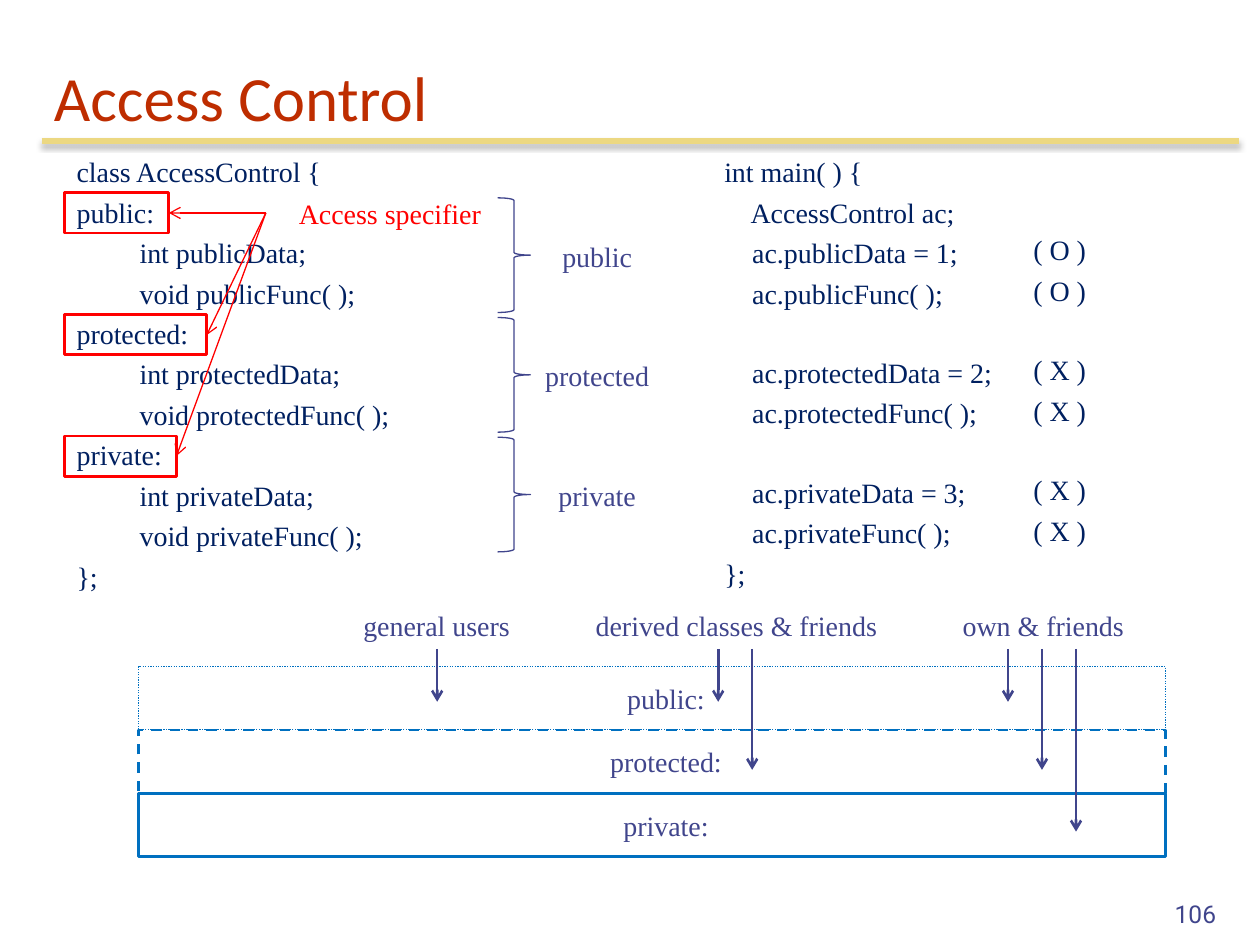
from lxml import etree
from pptx import Presentation
from pptx.dml.color import RGBColor
from pptx.enum.dml import MSO_LINE
from pptx.enum.shapes import MSO_CONNECTOR, MSO_SHAPE
from pptx.enum.text import MSO_ANCHOR, PP_ALIGN
from pptx.oxml import parse_xml
from pptx.oxml.ns import nsdecls, qn
from pptx.util import Inches, Pt

RECT, BRACE = MSO_SHAPE.RECTANGLE, MSO_SHAPE.RIGHT_BRACE
DOT, DASH = MSO_LINE.ROUND_DOT, MSO_LINE.DASH
LEFT, MID, RIGHT = PP_ALIGN.LEFT, PP_ALIGN.CENTER, PP_ALIGN.RIGHT
TOP, CENTER, BOTTOM = MSO_ANCHOR.TOP, MSO_ANCHOR.MIDDLE, MSO_ANCHOR.BOTTOM

THEME = {
    "head": "BE2D00", "rule": "ECD882", "code": "002060",
    "note": "40458C", "mark": "FF0000", "edge": "0070C0",
    "font": "Times New Roman", "title": "Calibri", "num": "Roboto",
    "body": 16, "big": 36, "small": 14,
}
GAP = 3.9       # points between code lines
PITCH = 22.3    # points from one code line to the next

deck = Presentation()
deck.slide_width, deck.slide_height = Inches(10), Inches(7.5)
slide = deck.slides.add_slide(deck.slide_layouts[6])
COL, ROW = deck.slide_width / 100, deck.slide_height / 75


def write(text, box, form=None, line=None, width=0.75, dash=None,
          font="font", size="body", color="note", align=LEFT,
          anchor=TOP, wrap=True, inset=1):
    """Add a text box or outlined shape; an empty line widens the gap."""
    x, y, w, h = box
    place = [int(v) for v in (x * COL, y * ROW, w * COL, h * ROW)]
    if form is None:
        item = slide.shapes.add_textbox(*place)
    else:
        item = slide.shapes.add_shape(form, *place)
        item.shadow.inherit = False
        item.fill.background()
        item.line.color.rgb = RGBColor.from_string(THEME[line])
        item.line.width = Pt(width)
        if dash:
            item.line.dash_style = dash
    if not text:
        return item
    frame = item.text_frame
    frame.word_wrap = wrap
    frame.vertical_anchor = anchor
    frame.margin_left = int(inset * COL)
    para, gap = frame.paragraphs[0], 0
    for i, part in enumerate(text.split("\n")):
        if not part:
            gap += PITCH
            continue
        if i:
            para = frame.add_paragraph()
            para.space_before = Pt(GAP + gap)
        gap = 0
        para.alignment = align
        run = para.add_run()
        run.text = part
        run.font.name = THEME[font]
        run.font.size = Pt(THEME[size])
        run.font.color.rgb = RGBColor.from_string(THEME[color])
    return item


def link(x1, y1, x2, y2, color, width, arrow=True):
    ends = [int(v) for v in (x1 * COL, y1 * ROW, x2 * COL, y2 * ROW)]
    item = slide.shapes.add_connector(MSO_CONNECTOR.STRAIGHT, *ends)
    item.line.color.rgb = RGBColor.from_string(THEME[color])
    item.line.width = Pt(width)
    if arrow:
        etree.SubElement(item.line._get_or_add_ln(), qn("a:tailEnd"), type="arrow")
    etree.SubElement(item._element.spPr, qn("a:effectLst"))
    return item


# Title and its rule
rule = link(3.3, 11.2, 98.3, 11.2, "rule", 3, arrow=False)
rule._element.spPr.find(qn("a:effectLst")).append(parse_xml(
    f'<a:outerShdw {nsdecls("a")} blurRad="{Pt(3.1)}" dist="{Pt(1.8)}" '
    'dir="5400000" rotWithShape="0"><a:srgbClr val="000000">'
    '<a:alpha val="35000"/></a:srgbClr></a:outerShdw>'))
write("Access Control", (3.3, 3.3, 95, 7.8), font="title", size="big",
      color="head", anchor=BOTTOM)

# Class on the left
write("""class AccessControl {
public:
\tint publicData;
\tvoid publicFunc( );
protected:
\tint protectedData;
\tvoid protectedFunc( );
private:
\tint privateData;
\tvoid privateFunc( );
};""", (5.1, 11.8, 33.3, 36), color="code", wrap=False)

# Specifier frames, arrows and braces
write("Access specifier", (21.1, 15.1, 19.7, 3.7), color="mark", align=MID)
for i, (name, wide, tip) in enumerate([
        ("public", 8.3, 16.9), ("protected", 11.3, 26.6), ("private", 8.9, 36.2)]):
    write("", (5.1, 15.3 + 9.65 * i, wide, 3.2), form=RECT, line="mark", width=1.5)
    link(21.1, 16.9, 5.1 + wide, tip, "mark", 0.75)
    top = 15.7 + 9.5 * i
    write("", (39.5, top, 2.6, 9.1), form=BRACE, line="note")
    write(name, (42.1, top + 2.8, 10.6, 3.7), align=MID)

# Use on the right, with verdicts
write("""int main( ) {
    AccessControl ac;
    ac.publicData = 1;
    ac.publicFunc( );

    ac.protectedData = 2;
    ac.protectedFunc( );

    ac.privateData = 3;
    ac.privateFunc( );
};""", (56.5, 11.8, 23.6, 36), color="code", wrap=False)
write("( O )\n( O )\n\n( X )\n( X )\n\n( X )\n( X )",
      (80.7, 11.8 + 2 * PITCH / 7.2, 6.8, 26.6), color="code", align=MID)

# Access levels and who reaches them
for i, (name, width, dash) in enumerate([
        ("public:", 0.75, DOT), ("protected:", 1.5, DASH), ("private:", 1.5, None)]):
    write(name, (11, 52.9 + 5.05 * i, 81.5, 5), form=RECT, line="edge",
          width=width, dash=dash, align=MID, anchor=CENTER, inset=3.2)
DEPTHS = (55.7, 61.1, 66)
for name, x, wide, start, count in [
        ("general users", 25.9, 17.5, 34.7, 1),
        ("derived classes & friends", 43.8, 29.3, 57, 2),
        ("own & friends", 74.9, 15.8, 80, 3)]:
    write(name, (x, 47.8, wide, 3.7), align=MID)
    for i, depth in enumerate(DEPTHS[:count]):
        link(start + 2.7 * i, 51.5, start + 2.7 * i, depth, "note", 1.5)

write("106", (76.7, 69.2, 20.8, 5), font="num", size="small",
      align=RIGHT, anchor=BOTTOM)

deck.save("out.pptx")
